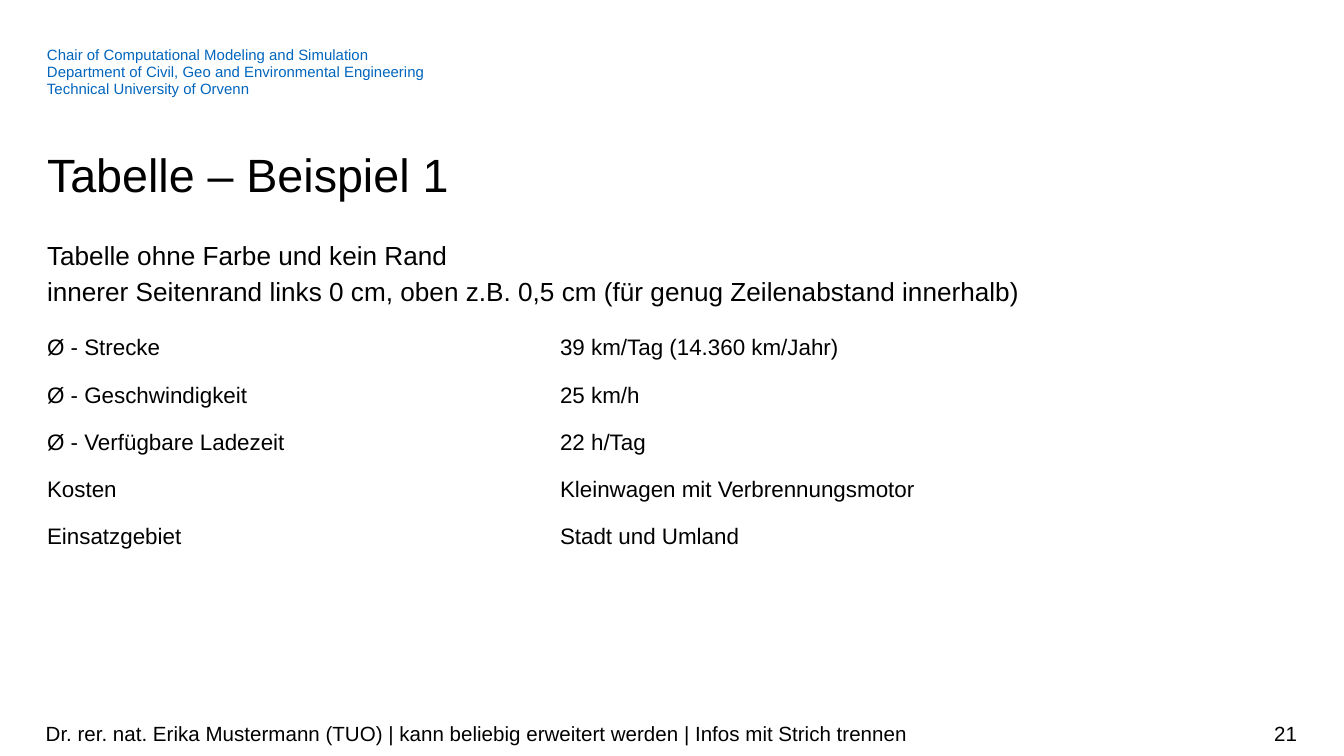
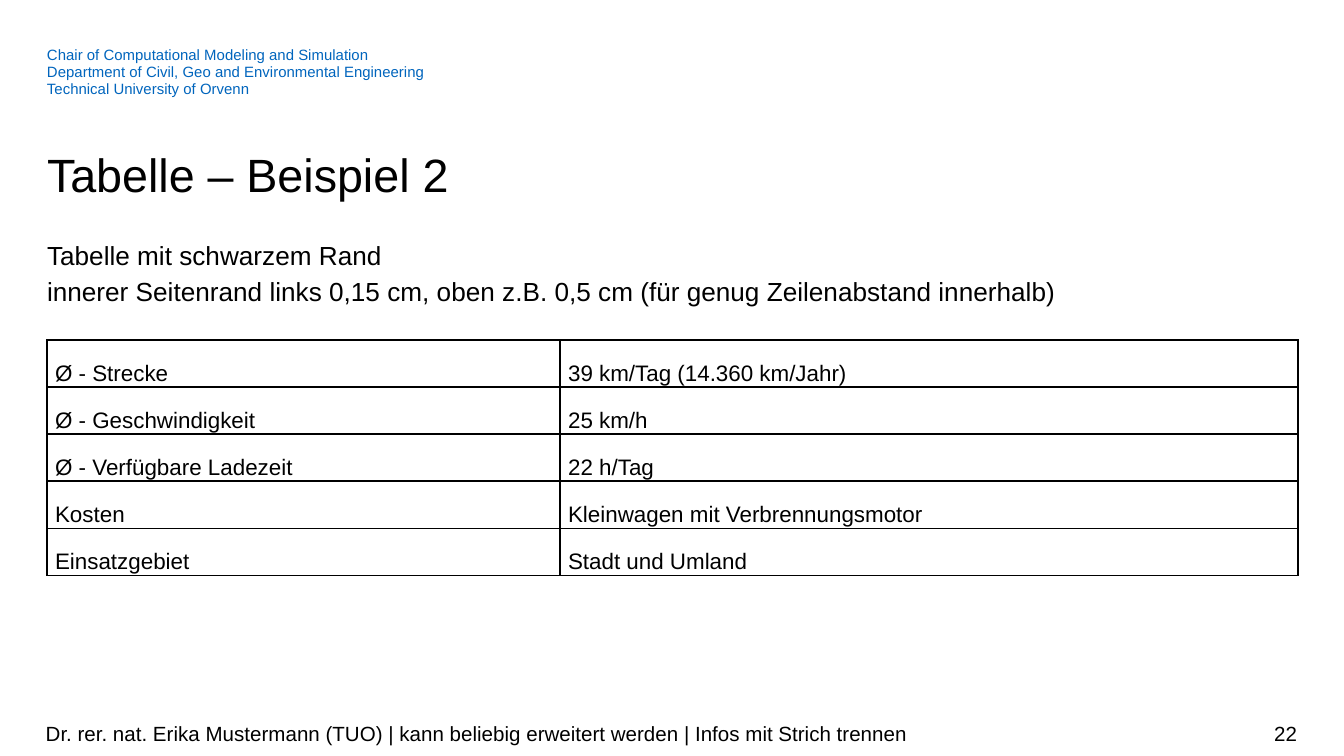
from collections import namedtuple

from lxml import etree
from pptx import Presentation
from pptx import util as u
from pptx.dml.color import RGBColor
from pptx.enum import text
from pptx.oxml.ns import qn

Box = namedtuple("Box", "left top width height")

SLIDE_WIDTH, SLIDE_HEIGHT = u.Inches(10), u.Inches(5.625)
COLUMN, ROW = SLIDE_WIDTH / 100, SLIDE_HEIGHT / 56.25
FONT, BLACK, BLUE = "Arial", "000000", "0065BD"
MARGIN, CONTENT_WIDTH = 3.5, 93.1

HEADER_BOX = Box(MARGIN, 3.5, 78.3, 3.8)
TITLE_BOX = Box(MARGIN, 10.6, CONTENT_WIDTH, 4.5)
INTRO_BOX = Box(MARGIN, 17.5, CONTENT_WIDTH, 5.5)
FOOTER_BOX = Box(3.4, 53.1, 93.1, 3)
FOOTER_SHARE = 0.76
LABEL_SHARE = 0.41

CHAIR = [
    "Chair of Computational Modeling and Simulation",
    "Department of Civil, Geo and Environmental Engineering",
    "Technical University of Orvenn",
]
SPEAKER = ("Dr. rer. nat. Erika Mustermann (TUO) | kann beliebig erweitert werden"
           " | Infos mit Strich trennen")
VEHICLE_FACTS = [
    ("Ø - Strecke", "39 km/Tag (14.360 km/Jahr)"),
    ("Ø - Geschwindigkeit", "25 km/h"),
    ("Ø - Verfügbare Ladezeit", "22 h/Tag"),
    ("Kosten", "Kleinwagen mit Verbrennungsmotor"),
    ("Einsatzgebiet", "Stadt und Umland"),
]
EXAMPLES = [
    dict(number=21, title="Tabelle – Beispiel 1",
         intro="Tabelle ohne Farbe und kein Rand\v"
               "innerer Seitenrand links 0 cm, oben z.B. 0,5 cm "
               "(für genug Zeilenabstand innerhalb)",
         table_top=23.4, inset=0, border=None),
    dict(number=22, title="Tabelle – Beispiel 2",
         intro="Tabelle mit schwarzem Rand\v"
               "innerer Seitenrand links 0,15 cm, oben z.B. 0,5 cm "
               "(für genug Zeilenabstand innerhalb)",
         table_top=25.3, inset=0.6, border=BLACK),
]


def color(value):
    return RGBColor.from_string(value)


def place(box):
    return (round(box.left * COLUMN), round(box.top * ROW),
            round(box.width * COLUMN), round(box.height * ROW))


def write(frame, paragraphs, size=12, fill=BLACK, align=text.PP_ALIGN.LEFT, spacing=None):
    for index, content in enumerate(paragraphs):
        paragraph = frame.add_paragraph() if index else frame.paragraphs[0]
        paragraph.text = content
        paragraph.alignment = align
        paragraph.line_spacing = spacing
        for run in paragraph.runs:
            run.font.name = FONT
            run.font.size = u.Pt(size)
            run.font.color.rgb = color(fill)
        for line_break in paragraph._p.findall(qn("a:br")):
            etree.SubElement(line_break, qn("a:rPr"), sz=str(size * 100))


def add_text(slide, box, paragraphs, anchor=text.MSO_ANCHOR.TOP, padding=0, **style):
    frame = slide.shapes.add_textbox(*place(box)).text_frame
    frame.word_wrap = True
    frame.vertical_anchor = anchor
    frame.margin_left = frame.margin_right = 0
    frame.margin_top = frame.margin_bottom = round(padding * ROW)
    write(frame, paragraphs, **style)


def set_borders(cell, border):
    properties = cell._tc.get_or_add_tcPr()
    for side in ("lnL", "lnR", "lnT", "lnB"):
        line = etree.SubElement(properties, qn("a:" + side), w=str(u.Pt(1)))
        if border:
            solid = etree.SubElement(line, qn("a:solidFill"))
            etree.SubElement(solid, qn("a:srgbClr"), val=border)
        else:
            etree.SubElement(line, qn("a:noFill"))


def add_facts_table(slide, box, facts, inset, border):
    left, top, width, height = place(box)
    table = slide.shapes.add_table(len(facts), 2, left, top, width, height).table
    table.first_row = table.horz_banding = False
    table.columns[0].width = round(width * LABEL_SHARE)
    table.columns[1].width = width - table.columns[0].width
    for row, fact in zip(table.rows, facts):
        row.height = round(height / len(facts))
        for cell, content in zip(row.cells, fact):
            cell.margin_left = round(inset * COLUMN)
            cell.margin_top = round(1.5 * ROW)
            cell.margin_right = cell.margin_bottom = 0
            cell.vertical_anchor = text.MSO_ANCHOR.MIDDLE
            set_borders(cell, border)
            cell.fill.background()
            write(cell.text_frame, [content])


def add_footer(slide, box, number):
    speaker_width = box.width * FOOTER_SHARE
    speaker_box = box._replace(width=speaker_width)
    number_box = box._replace(left=box.left + speaker_width,
                              width=box.width - speaker_width)
    style = dict(anchor=text.MSO_ANCHOR.MIDDLE, padding=0.5, size=11)
    add_text(slide, number_box, [str(number)], align=text.PP_ALIGN.RIGHT, **style)
    add_text(slide, speaker_box, [SPEAKER], **style)


def add_table_slide(deck, number, title, intro, table_top, inset, border):
    slide = deck.slides.add_slide(deck.slide_layouts[6])
    add_text(slide, HEADER_BOX, CHAIR, size=8, fill=BLUE, spacing=0.94)
    table_box = Box(MARGIN, table_top, CONTENT_WIDTH, 17.4)
    add_facts_table(slide, table_box, VEHICLE_FACTS, inset, border)
    add_text(slide, TITLE_BOX, [title], size=25, spacing=u.Pt(32))
    add_footer(slide, FOOTER_BOX, number)
    add_text(slide, INTRO_BOX, [intro], size=14, spacing=1.14)


deck = Presentation()
deck.slide_width, deck.slide_height = SLIDE_WIDTH, SLIDE_HEIGHT
for example in EXAMPLES:
    add_table_slide(deck, **example)
deck.save("out.pptx")
